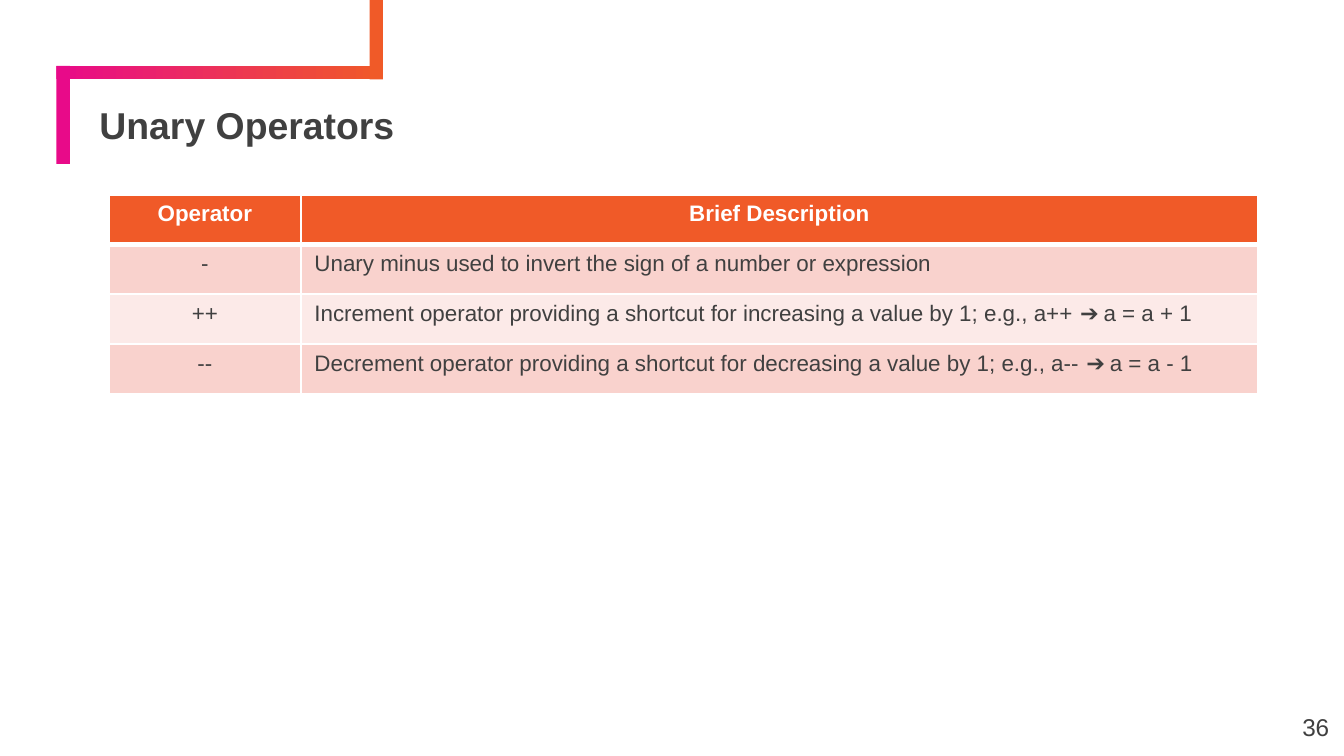
from dataclasses import dataclass

from lxml import etree
from pptx import Presentation
from pptx.dml.color import RGBColor
from pptx.enum.shapes import MSO_SHAPE
from pptx.enum.text import MSO_ANCHOR, PP_ALIGN
from pptx.oxml.ns import qn
from pptx.util import Inches, Pt

RECTANGLE = MSO_SHAPE.RECTANGLE
MIDDLE = MSO_ANCHOR.MIDDLE
LEFT, CENTER, RIGHT = PP_ALIGN.LEFT, PP_ALIGN.CENTER, PP_ALIGN.RIGHT
SLIDE_WIDTH = Inches(10)
SLIDE_HEIGHT = SLIDE_WIDTH * 9 // 16


@dataclass(frozen=True)
class Theme:
    font: str = "Arial"
    ink: str = "404040"
    white: str = "FFFFFF"
    orange: str = "F05A28"
    pink: str = "E80A89"
    dark_band: str = "F9D2CD"
    light_band: str = "FCEAE8"
    title_size: float = 20
    number_size: float = 13
    table_size: float = 12
    thin_border: float = 1
    header_border: float = 3


@dataclass(frozen=True)
class Box:
    left: float
    top: float
    width: float
    height: float

    def lengths(self) -> tuple:
        return tuple(map(Inches, (self.left, self.top, self.width, self.height)))


@dataclass(frozen=True)
class Bar:
    box: Box
    colors: tuple[str, ...]


@dataclass(frozen=True)
class Label:
    box: Box
    text: str
    size: float
    bold: bool = False
    alignment: PP_ALIGN = LEFT
    line_spacing: float = 1.0


THEME = Theme()
BARS = (
    Bar(Box(0.42, 0.49, 2.43, 0.1), (THEME.pink, THEME.orange)),
    Bar(Box(0.42, 0.49, 0.1, 0.73), (THEME.pink,)),
    Bar(Box(2.75, 0, 0.1, 0.59), (THEME.orange,)),
)
LABELS = (
    Label(Box(0.67, 0.78, 9.03, 0.34), "Unary Operators", THEME.title_size,
          bold=True, line_spacing=0.9),
    Label(Box(9.36, 5.19, 0.6, 0.43), "36", THEME.number_size, alignment=RIGHT),
)
TABLE_BOX = Box(0.81, 1.45, 8.55, 1.48)
COLUMN_WIDTHS = (1.43, 7.12)
OPERATORS = (
    ("Operator", "Brief Description"),
    ("-", "Unary minus used to invert the sign of a number or expression"),
    ("++", "Increment operator providing a shortcut for increasing a value by 1; "
           "e.g., a++ ➔ a = a + 1"),
    ("--", "Decrement operator providing a shortcut for decreasing a value by 1; "
           "e.g., a-- ➔ a = a - 1"),
)


def add_run(paragraph, text: str, size: float, color: str, bold: bool) -> None:
    run = paragraph.add_run()
    run.text = text
    run.font.name = THEME.font
    run.font.size = Pt(size)
    run.font.bold = bold
    run.font.color.rgb = RGBColor.from_string(color)


def add_bar(slide, bar: Bar) -> None:
    shape = slide.shapes.add_shape(RECTANGLE, *bar.box.lengths())
    shape.shadow.inherit = False
    shape.line.fill.background()
    if len(bar.colors) == 1:
        shape.fill.solid()
        shape.fill.fore_color.rgb = RGBColor.from_string(bar.colors[0])
        return
    shape.fill.gradient()
    shape.fill.gradient_angle = 0
    for stop, color in zip(shape.fill.gradient_stops, bar.colors):
        stop.color.rgb = RGBColor.from_string(color)


def add_label(slide, label: Label) -> None:
    frame = slide.shapes.add_textbox(*label.box.lengths()).text_frame
    frame.word_wrap = True
    frame.vertical_anchor = MIDDLE
    frame.margin_left = frame.margin_right = Inches(0.07)
    frame.margin_top = frame.margin_bottom = Inches(0.04)
    paragraph = frame.paragraphs[0]
    paragraph.alignment = label.alignment
    paragraph.line_spacing = label.line_spacing
    add_run(paragraph, label.text, label.size, THEME.ink, label.bold)


def set_borders(cell, top: float, bottom: float) -> None:
    properties = cell._tc.get_or_add_tcPr()
    widths = {"lnL": THEME.thin_border, "lnR": THEME.thin_border,
              "lnT": top, "lnB": bottom}
    for position, (side, width) in enumerate(widths.items()):
        line = etree.Element(qn(f"a:{side}"), w=str(Pt(width)))
        fill = etree.SubElement(line, qn("a:solidFill"))
        etree.SubElement(fill, qn("a:srgbClr"), val=THEME.white)
        properties.insert(position, line)


def add_operator_table(slide) -> None:
    table = slide.shapes.add_table(
        len(OPERATORS), len(COLUMN_WIDTHS), *TABLE_BOX.lengths()).table
    for column, width in zip(table.columns, COLUMN_WIDTHS):
        column.width = Inches(width)
    for row_index, texts in enumerate(OPERATORS):
        is_header = row_index == 0
        band = THEME.dark_band if row_index % 2 else THEME.light_band
        top = THEME.header_border if row_index == 1 else THEME.thin_border
        bottom = THEME.header_border if is_header else THEME.thin_border
        for column_index, text in enumerate(texts):
            cell = table.cell(row_index, column_index)
            cell.fill.solid()
            cell.fill.fore_color.rgb = RGBColor.from_string(
                THEME.orange if is_header else band)
            set_borders(cell, top, bottom)
            paragraph = cell.text_frame.paragraphs[0]
            paragraph.alignment = CENTER if is_header or column_index == 0 else LEFT
            add_run(paragraph, text, THEME.table_size,
                    THEME.white if is_header else THEME.ink, is_header)


def main() -> None:
    presentation = Presentation()
    presentation.slide_width = SLIDE_WIDTH
    presentation.slide_height = SLIDE_HEIGHT
    slide = presentation.slides.add_slide(presentation.slide_layouts[6])
    for bar in BARS:
        add_bar(slide, bar)
    for label in LABELS:
        add_label(slide, label)
    add_operator_table(slide)
    presentation.save("out.pptx")


if __name__ == "__main__":
    main()
